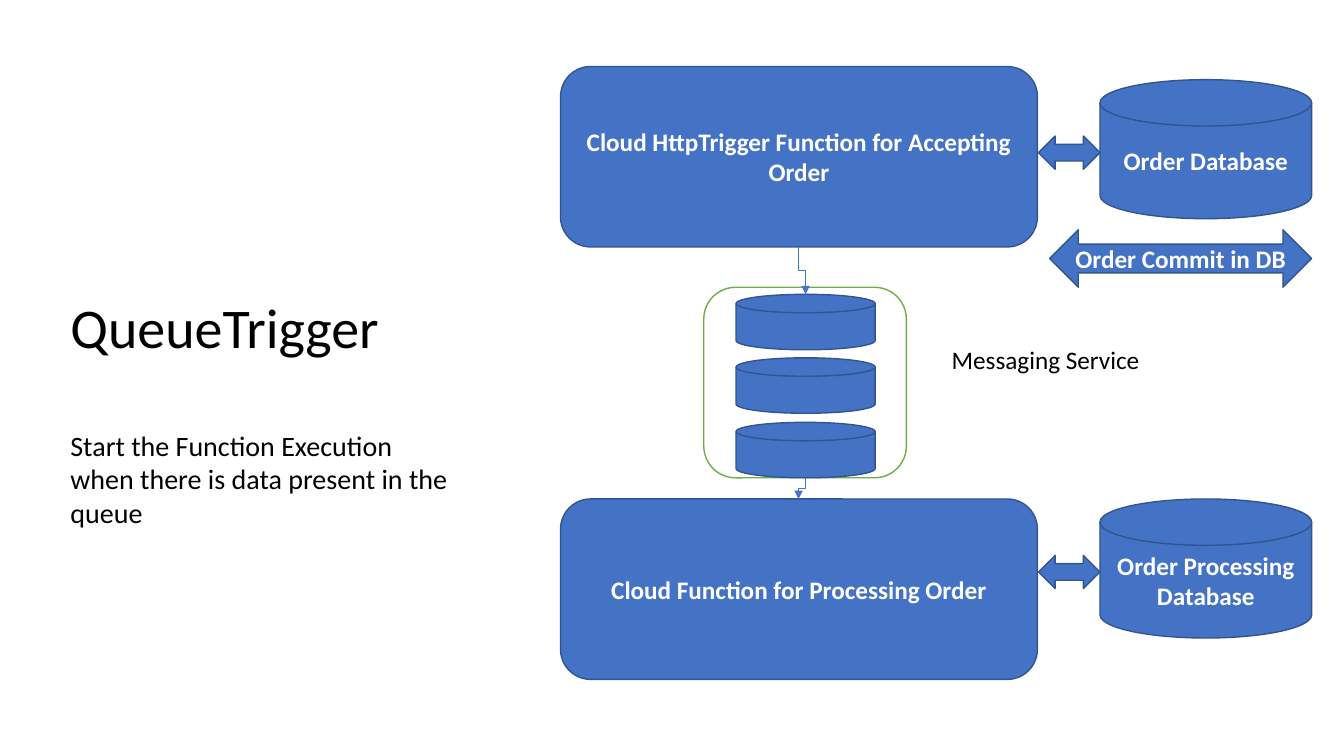
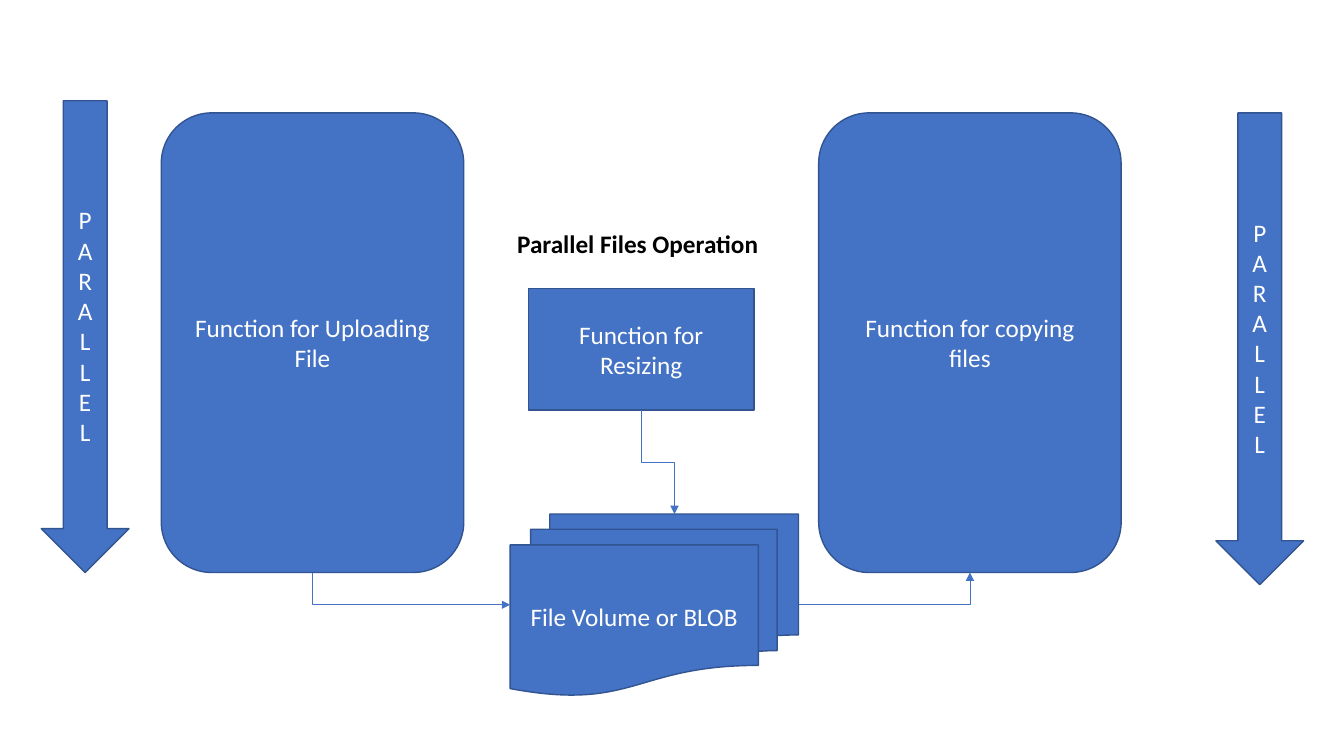
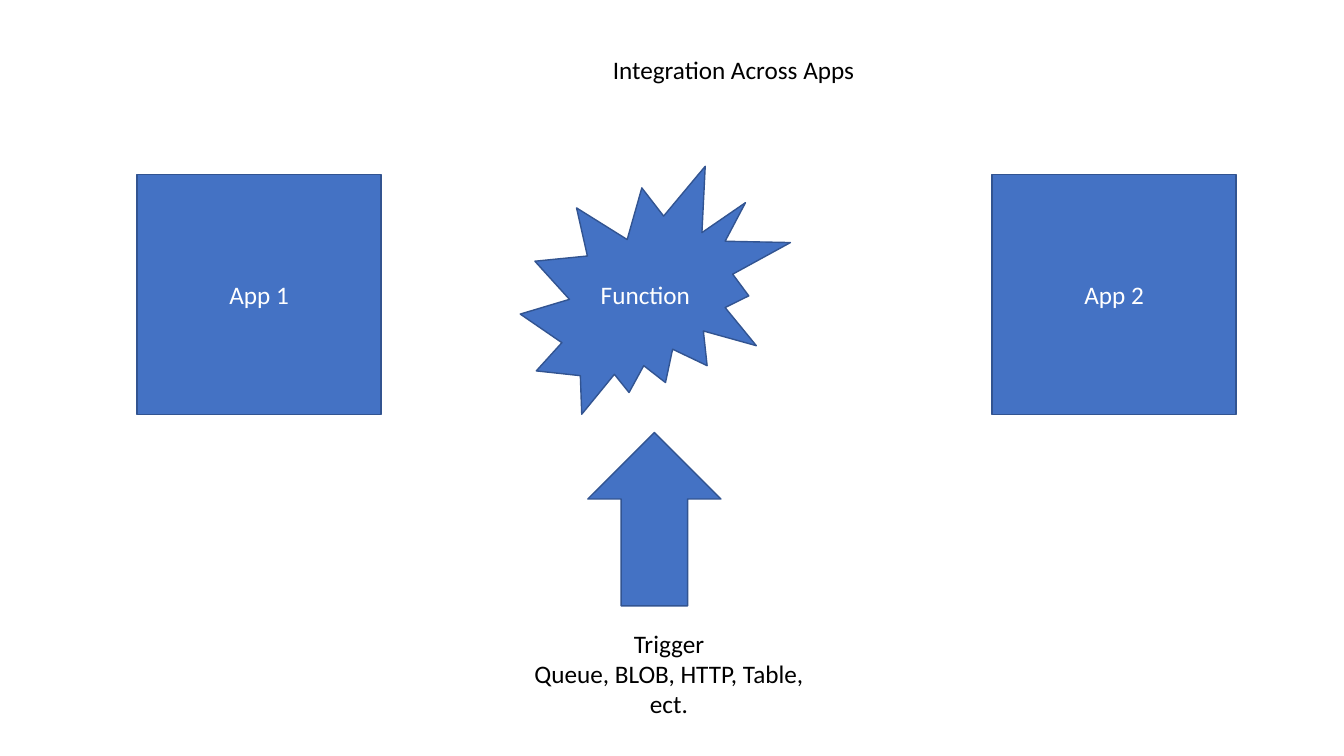
from dataclasses import dataclass

from lxml.etree import SubElement
from pptx import Presentation
from pptx.dml.color import RGBColor
from pptx.enum.shapes import MSO_CONNECTOR as Connector, MSO_SHAPE as Preset
from pptx.enum.text import MSO_ANCHOR as Anchor, MSO_AUTO_SIZE as AutoSize, PP_ALIGN as Align
from pptx.oxml.ns import qn
from pptx.util import Pt

EMU_PER_PX = 9144


@dataclass(frozen=True)
class Theme:
    font: str = "Calibri"
    fill: RGBColor = RGBColor(0x44, 0x72, 0xC4)
    outline: RGBColor = RGBColor(0x32, 0x54, 0x91)
    frame: RGBColor = RGBColor(0x70, 0xAD, 0x47)
    light: RGBColor = RGBColor(0xFF, 0xFF, 0xFF)
    dark: RGBColor = RGBColor(0x00, 0x00, 0x00)
    title_size: int = 40
    lead_size: int = 20
    label_size: int = 18
    outline_width: int = 1
    connector_width: float = 0.5


THEME = Theme()


@dataclass(frozen=True)
class Box:
    left: int
    top: int
    width: int
    height: int

    def place(self, left, top, width, height):
        return Box(self.left + left, self.top + top, width, height)

    def point(self, left, top):
        return self.left + left, self.top + top

    @property
    def top_middle(self):
        return self.point(self.width // 2, 0)

    @property
    def bottom_middle(self):
        return self.point(self.width // 2, self.height)

    @property
    def left_middle(self):
        return self.point(0, self.height // 2)

    @property
    def right_middle(self):
        return self.point(self.width, self.height // 2)

    @property
    def emu(self):
        return [px(self.left), px(self.top), px(self.width), px(self.height)]


def px(length):
    return round(length * EMU_PER_PX)


def add_run(paragraph, text, size, color, bold=False):
    run = paragraph.add_run()
    run.text = text
    run.font.name = THEME.font
    run.font.size = Pt(size)
    run.font.bold = bold
    run.font.color.rgb = color


def write_lines(frame, lines, color, align, bold=False, size=THEME.label_size):
    for index, line in enumerate(lines):
        paragraph = frame.add_paragraph() if index else frame.paragraphs[0]
        paragraph.alignment = align
        add_run(paragraph, line, size, color, bold)


def add_node(slide, preset, box, lines=(), bold=False, fill=THEME.fill, outline=THEME.outline):
    shape = slide.shapes.add_shape(preset, *box.emu)
    shape.shadow.inherit = False
    shape.fill.solid()
    shape.fill.fore_color.rgb = fill
    shape.line.color.rgb = outline
    shape.line.width = Pt(THEME.outline_width)
    shape.text_frame.vertical_anchor = Anchor.MIDDLE
    write_lines(shape.text_frame, lines, THEME.light, Align.CENTER, bold)


def add_text_frame(slide, box):
    frame = slide.shapes.add_textbox(*box.emu).text_frame
    frame.word_wrap = True
    frame.auto_size = AutoSize.SHAPE_TO_FIT_TEXT
    return frame


def add_label(slide, box, lines, align=Align.CENTER, bold=False):
    write_lines(add_text_frame(slide, box), lines, THEME.dark, align, bold)


def add_elbow(slide, start, end, preset="bentConnector3", downward=True):
    (start_x, start_y), (end_x, end_y) = start, end
    rotation = 0
    if downward:
        middle_x, middle_y = (start_x + end_x) / 2, (start_y + end_y) / 2
        half_run, half_rise = (end_y - start_y) / 2, abs(end_x - start_x) / 2
        rightward = end_x > start_x
        rotation = 270 if rightward else 90
        direction = -1 if rightward else 1
        start_x = middle_x - direction * half_run
        end_x = middle_x + direction * half_run
        start_y, end_y = middle_y - half_rise, middle_y + half_rise
    connector = slide.shapes.add_connector(
        Connector.ELBOW, px(start_x), px(start_y), px(end_x), px(end_y))
    connector.line.color.rgb = THEME.fill
    connector.line.width = Pt(THEME.connector_width)
    properties = connector.element.spPr
    properties.find(qn("a:prstGeom")).set("prst", preset)
    if rotation:
        properties.find(qn("a:xfrm")).set("rot", str(rotation * 60000))
    SubElement(properties.find(qn("a:ln")), qn("a:tailEnd")).set("type", "triangle")
    SubElement(properties, qn("a:effectLst"))


def draw_introduction(slide, box, title, lead):
    frame = add_text_frame(slide, box)
    add_run(frame.paragraphs[0], title, THEME.title_size, THEME.dark)
    paragraph = frame.add_paragraph()
    paragraph.space_before = Pt(49)
    add_run(paragraph, lead, THEME.lead_size, THEME.dark)


def draw_service(slide, box, function, database, database_top):
    add_node(slide, Preset.ROUNDED_RECTANGLE, box, [function], bold=True)
    add_node(slide, Preset.FLOWCHART_MAGNETIC_DISK,
             box.place(535, database_top, 210, 138), [database], bold=True)
    add_node(slide, Preset.LEFT_RIGHT_ARROW, box.place(474, database_top + 56, 61, 33))


def draw_order_flow(slide, box):
    accepting = box.place(0, 0, 473, 179)
    processing = box.place(0, 429, 473, 179)
    messages = [box.place(174, 226 + index * 127 // 2, 138, 55) for index in range(3)]
    add_node(slide, Preset.ROUNDED_RECTANGLE, box.place(142, 219, 201, 189),
             fill=THEME.light, outline=THEME.frame)
    draw_service(slide, accepting, "Cloud HttpTrigger Function for Accepting Order",
                 "Order Database", 13)
    draw_service(slide, processing, "Cloud Function for Processing Order",
                 "Order Processing Database", 0)
    add_node(slide, Preset.LEFT_RIGHT_ARROW, box.place(485, 162, 260, 57),
             ["Order Commit in DB"], bold=True)
    for message in messages:
        add_node(slide, Preset.FLOWCHART_MAGNETIC_DISK, message)
    add_elbow(slide, accepting.bottom_middle, messages[0].top_middle)
    add_elbow(slide, messages[-1].bottom_middle, processing.top_middle)
    add_label(slide, box.place(378, 271, 328, 40), ["Messaging Service"], Align.LEFT)


def draw_parallel_files(slide, box):
    uploading = box.place(119, 12, 300, 456)
    copying = box.place(771, 12, 300, 456)
    volume = box.place(465, 410, 286, 180)
    resizing = box.place(483, 186, 224, 121)
    add_node(slide, Preset.ROUNDED_RECTANGLE, uploading, ["Function for Uploading File"])
    add_node(slide, Preset.ROUNDED_RECTANGLE, copying, ["Function for copying files"])
    for left, top in ((0, 0), (1165, 12)):
        add_node(slide, Preset.DOWN_ARROW, box.place(left, top, 87, 468), "PARALLEL")
    add_node(slide, Preset.FLOWCHART_MULTIDOCUMENT, volume, ["File Volume or BLOB"])
    add_label(slide, box.place(447, 122, 289, 40), ["Parallel Files Operation"], bold=True)
    add_node(slide, Preset.RECTANGLE, resizing, ["Function for Resizing"])
    add_elbow(slide, uploading.bottom_middle, volume.left_middle, "bentConnector2")
    add_elbow(slide, volume.right_middle, copying.bottom_middle, "bentConnector2",
              downward=False)
    add_elbow(slide, resizing.bottom_middle, volume.point(163, 0))


def draw_integration(slide, box):
    for left, name in ((0, "App 1"), (848, "App 2")):
        add_node(slide, Preset.RECTANGLE, box.place(left, 124, 242, 238), [name])
    add_node(slide, Preset.EXPLOSION2, box.place(380, 116, 268, 246), ["Function"])
    add_node(slide, Preset.UP_ARROW, box.place(447, 380, 132, 172))
    add_label(slide, box.place(369, 569, 317, 101),
              ["Trigger", "Queue, BLOB, HTTP, Table, ect."])
    add_label(slide, box.place(317, 0, 549, 40), ["Integration Across Apps"])


def main():
    presentation = Presentation()
    presentation.slide_width = px(1333)
    presentation.slide_height = px(750)
    blank = presentation.slide_layouts[6]
    queue, parallel, integration = (presentation.slides.add_slide(blank) for _ in range(3))
    draw_order_flow(queue, Box(556, 66, 745, 608))
    draw_introduction(queue, Box(60, 285, 407, 246), "QueueTrigger",
                      "Start the Function Execution when there is data present in the queue")
    draw_parallel_files(parallel, Box(41, 100, 1252, 590))
    draw_integration(integration, Box(136, 49, 1090, 670))
    presentation.save("out.pptx")


if __name__ == "__main__":
    main()
